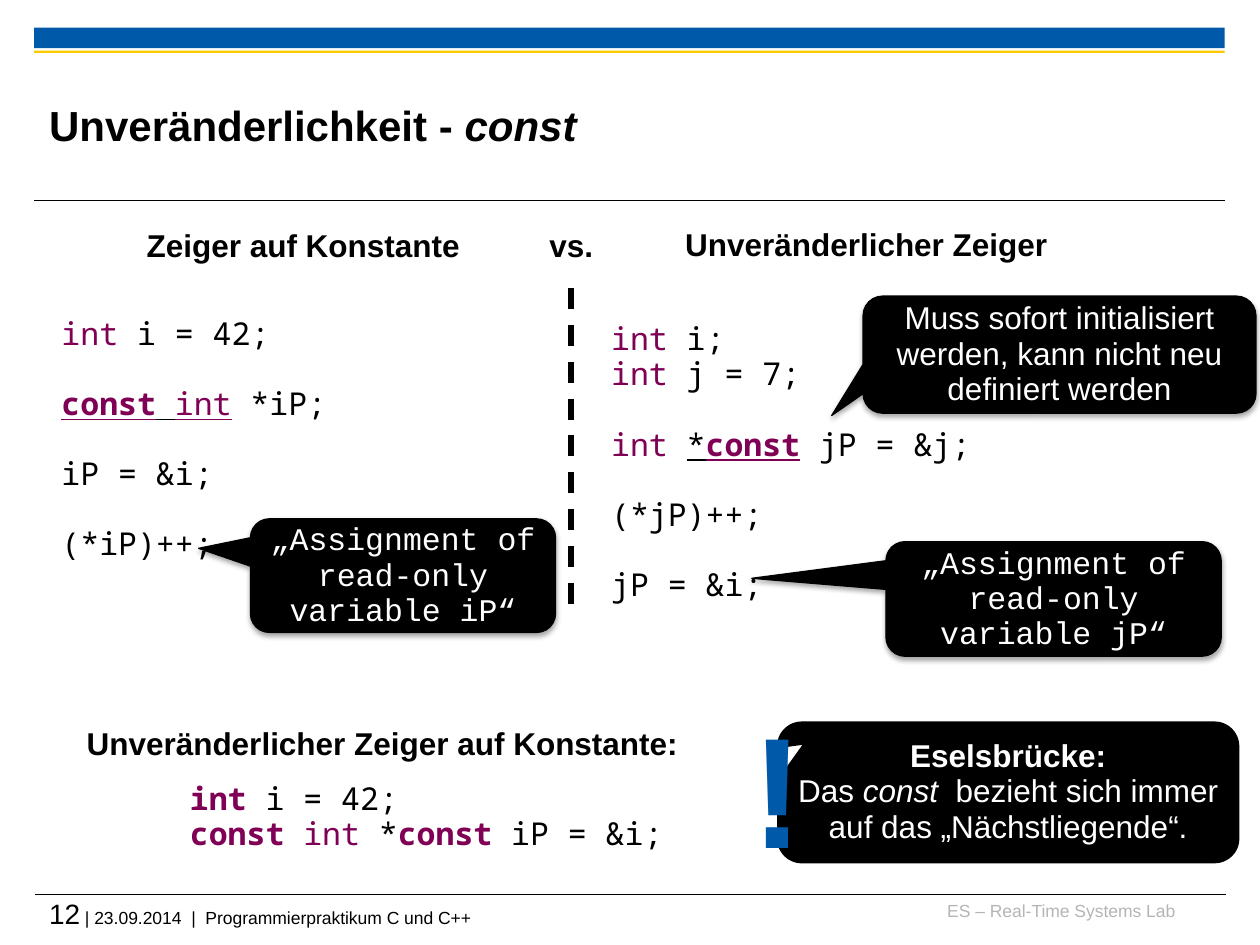
"""Builds a slide that compares pointers to constants with constant pointers."""
from dataclasses import dataclass

from lxml.etree import SubElement
from pptx import Presentation
from pptx.dml.color import RGBColor
from pptx.enum.dml import MSO_LINE
from pptx.enum.shapes import MSO_CONNECTOR, MSO_SHAPE
from pptx.enum.text import MSO_ANCHOR, MSO_AUTO_SIZE, PP_ALIGN
from pptx.oxml.ns import qn
from pptx.util import Cm, Pt


@dataclass(frozen=True)
class Theme:
    black: RGBColor = RGBColor(0, 0, 0)
    white: RGBColor = RGBColor(255, 255, 255)
    blue: RGBColor = RGBColor(0x00, 0x5A, 0xA9)
    gold: RGBColor = RGBColor(0xFD, 0xCA, 0x00)
    gray: RGBColor = RGBColor(0xB5, 0xB5, 0xB5)
    keyword: RGBColor = RGBColor(0x7F, 0x00, 0x55)
    sans: str = "Arial"
    code: str = "Noto Sans Mono"
    message: str = "Courier New"
    title: int = 24
    body: int = 18
    number: int = 16
    footer: int = 10
    mark: int = 90


theme = Theme()


def write(paragraph, runs, font, size, color, align=PP_ALIGN.LEFT, spacing=0.93):
    """Adds runs of (text, style), where b, i, u and k mean bold, italic, underline, keyword."""
    paragraph.alignment = align
    paragraph.line_spacing = spacing
    for text, style in runs:
        if text == "\n":
            paragraph.add_line_break()
            continue
        run = paragraph.add_run()
        run.text = text
        run.font.name = font
        run.font.size = Pt(size)
        run.font.bold = "b" in style
        run.font.italic = "i" in style
        run.font.underline = "u" in style
        run.font.color.rgb = theme.keyword if "k" in style else color


def add_frame(box, inset=None):
    """Adds a wrapping text box at a box given in centimetres and returns its frame."""
    frame = slide.shapes.add_textbox(*map(Cm, box)).text_frame
    frame.word_wrap = True
    if inset is not None:
        frame.margin_left = frame.margin_right = Cm(inset)
        frame.margin_top = frame.margin_bottom = Cm(inset)
    return frame


presentation = Presentation()
presentation.slide_width = Cm(25.4)
presentation.slide_height = Cm(19.05)
slide = presentation.slides.add_slide(presentation.slide_layouts[5])

for top, height, color in [(0.56, 0.41, theme.blue), (1.02, 0.05, theme.gold)]:
    band = slide.shapes.add_shape(MSO_SHAPE.RECTANGLE, Cm(0.69), Cm(top), Cm(24), Cm(height))
    band.shadow.inherit = False
    band.fill.solid()
    band.fill.fore_color.rgb = color
    band.line.fill.background()

for start_x, start_y, end_x, end_y, width, dash in [
    (0.69, 4.04, 24.69, 4.04, 0.6, None),
    (0.71, 18.03, 24.71, 18.03, 0.6, None),
    (11.51, 12.17, 11.51, 5.77, 3, MSO_LINE.DASH),
]:
    divider = slide.shapes.add_connector(
        MSO_CONNECTOR.STRAIGHT, Cm(start_x), Cm(start_y), Cm(end_x), Cm(end_y))
    divider.line.color.rgb = theme.black
    divider.line.width = Pt(width)
    if dash:
        divider.line.dash_style = dash
    SubElement(divider._element.spPr, qn("a:effectLst"))

lab = add_frame((18.69, 18.14, 5, 0.64), 0)
write(lab.paragraphs[0], [("ES – Real-Time Systems Lab", "")],
      theme.sans, theme.footer, theme.gray, PP_ALIGN.RIGHT, 1.0)
footer = add_frame((0.99, 18.08, 23.7, 0.84), 0).paragraphs[0]
write(footer, [("12", "")], theme.sans, theme.number, theme.black, spacing=1.0)
write(footer, [(" | 23.09.2014  |  Programmierpraktikum C und C++", "")],
      theme.sans, theme.footer, theme.black, spacing=1.0)

title = slide.shapes.title
title.left, title.top, title.width, title.height = map(Cm, (0.99, 1.35, 19.1, 2.34))
heading = title.text_frame
heading.auto_size = MSO_AUTO_SIZE.NONE
heading.vertical_anchor = MSO_ANCHOR.MIDDLE
heading.margin_left = heading.margin_right = heading.margin_top = heading.margin_bottom = 0
write(heading.paragraphs[0], [("Unveränderlichkeit - ", "b"), ("const", "bi")],
      theme.sans, theme.title, theme.black, spacing=1.0)

listings = [
    ((0.99, 6.27, 18.39, 5.26), [
        (0, [("int", "k"), (" i = 42;", "")]),
        (20, [("const", "kbu"), (" ", "u"), ("int", "ku"), (" *iP;", "")]),
        (20, [("iP = &i;", "")]),
        (20, [("(*iP)++;", "")]),
    ]),
    ((12.07, 6.38, 12.7, 5.97), [
        (0, [("int ", "k"), ("i;", "")]),
        (0, [("int ", "k"), ("j = 7;", "")]),
        (20, [("int ", "k"), ("*", "u"), ("const", "kbu"), (" jP = &j;", "")]),
        (20, [("(*jP)++;", "")]),
        (20, [("jP = &i;", "")]),
    ]),
    ((3.58, 15.65, 12.7, 1.68), [
        (0, [("int ", "kb"), ("i = 42;", "")]),
        (0, [("const ", "kb"), ("int", "k"), (" *", ""), ("const ", "kb"), ("iP = &i;", "")]),
    ]),
]
for box, lines in listings:
    listing = add_frame(box)
    for index, (gap, runs) in enumerate(lines):
        code_line = listing.add_paragraph() if index else listing.paragraphs[0]
        code_line.space_before = Pt(gap)
        write(code_line, runs, theme.code, theme.body, theme.black)

for box, caption in [
    ((1.96, 4.5, 8.31, 0.97), "Zeiger auf Konstante"),
    ((13.31, 4.47, 8.31, 0.97), "Unveränderlicher Zeiger"),
    ((10.74, 4.5, 1.55, 0.97), "vs."),
    ((1.07, 14.53, 13.28, 0.97), "Unveränderlicher Zeiger auf Konstante:"),
]:
    write(add_frame(box).paragraphs[0], [(caption, "b")],
          theme.sans, theme.body, theme.black, PP_ALIGN.CENTER)

callouts = [
    ((5.05, 10.46, 6.15, 2.29), (-0.67, -0.24), 0.75, theme.message,
     [("„Assignment of read-only variable iP“", "")]),
    ((17.4, 5.97, 7.92, 2.36), (-0.58, 0.52), 0.75, theme.sans,
     [("Muss sofort initialisiert werden, kann nicht neu definiert werden", "")]),
    ((17.86, 10.92, 6.76, 2.31), (-0.9, -0.18), 0.75, theme.message,
     [("„Assignment of read-only variable jP“", "")]),
    ((15.7, 14.58, 9.25, 2.79), (-0.44, -0.36), 2, theme.sans,
     [("Eselsbrücke:", "b"), ("\n", ""), ("Das ", ""), ("const ", "i"),
      (" bezieht sich immer auf das „Nächstliegende“.", "")]),
]
for box, tip, outline, font, runs in callouts:
    callout = slide.shapes.add_shape(MSO_SHAPE.ROUNDED_RECTANGULAR_CALLOUT, *map(Cm, box))
    callout.adjustments[0], callout.adjustments[1] = tip
    callout.shadow.inherit = False
    callout.fill.solid()
    callout.fill.fore_color.rgb = theme.black
    callout.line.color.rgb = theme.black
    callout.line.width = Pt(outline)
    if outline < 1:
        effects = callout._element.spPr.find(qn("a:effectLst"))
        shadow = SubElement(effects, qn("a:outerShdw"), blurRad=str(Pt(3.1)),
                            dist=str(Pt(1.8)), dir="5400000", rotWithShape="0")
        shade = SubElement(shadow, qn("a:srgbClr"), val=str(theme.black))
        SubElement(shade, qn("a:alpha"), val="35000")
    callout.text_frame.word_wrap = True
    callout.text_frame.vertical_anchor = MSO_ANCHOR.MIDDLE
    write(callout.text_frame.paragraphs[0], runs, font, theme.body, theme.white, PP_ALIGN.CENTER)

exclamation = add_frame((14.91, 14.15, 0.61, 3.84))
write(exclamation.paragraphs[0], [("!", "b")],
      theme.sans, theme.mark, theme.blue, PP_ALIGN.CENTER)

presentation.save("out.pptx")
